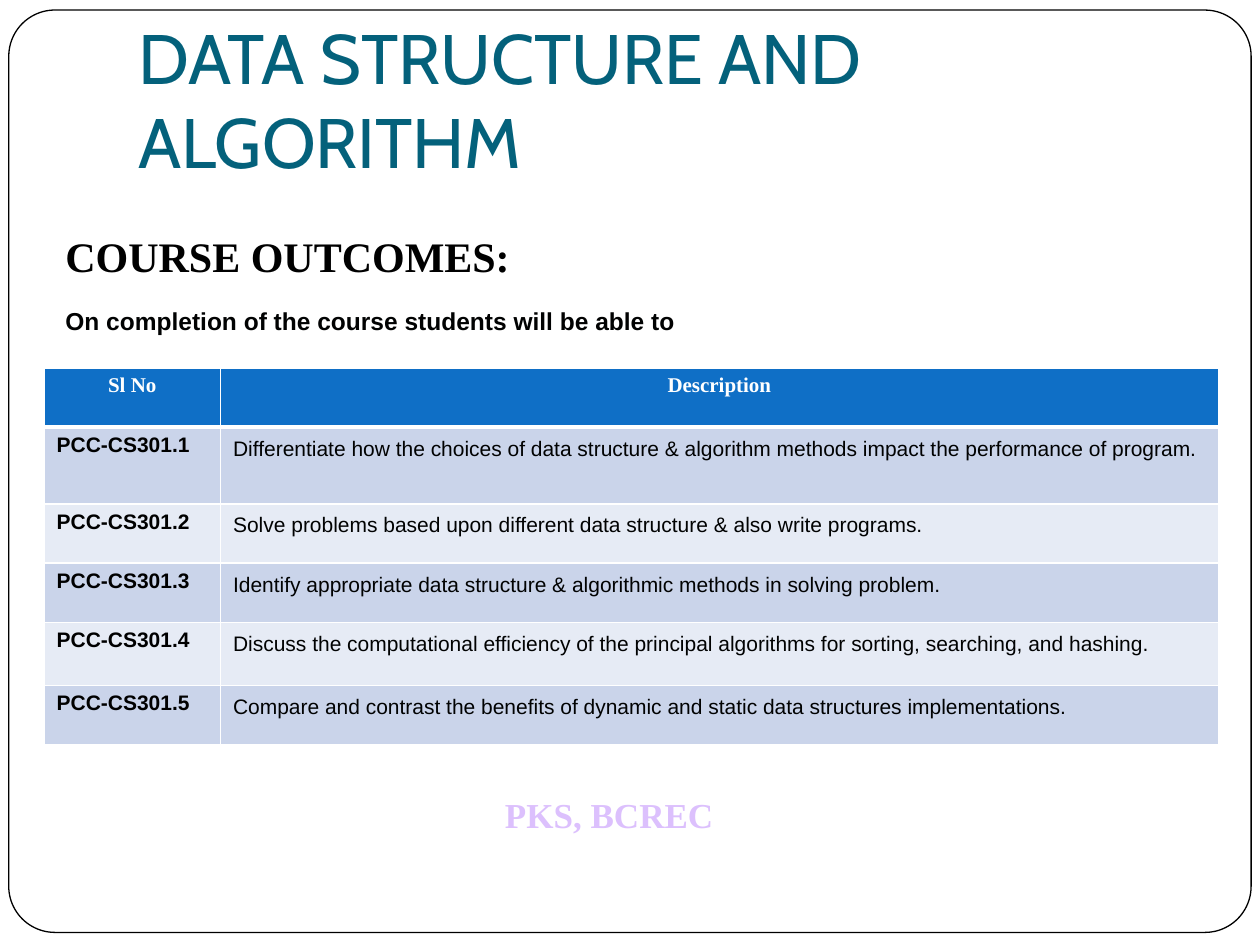
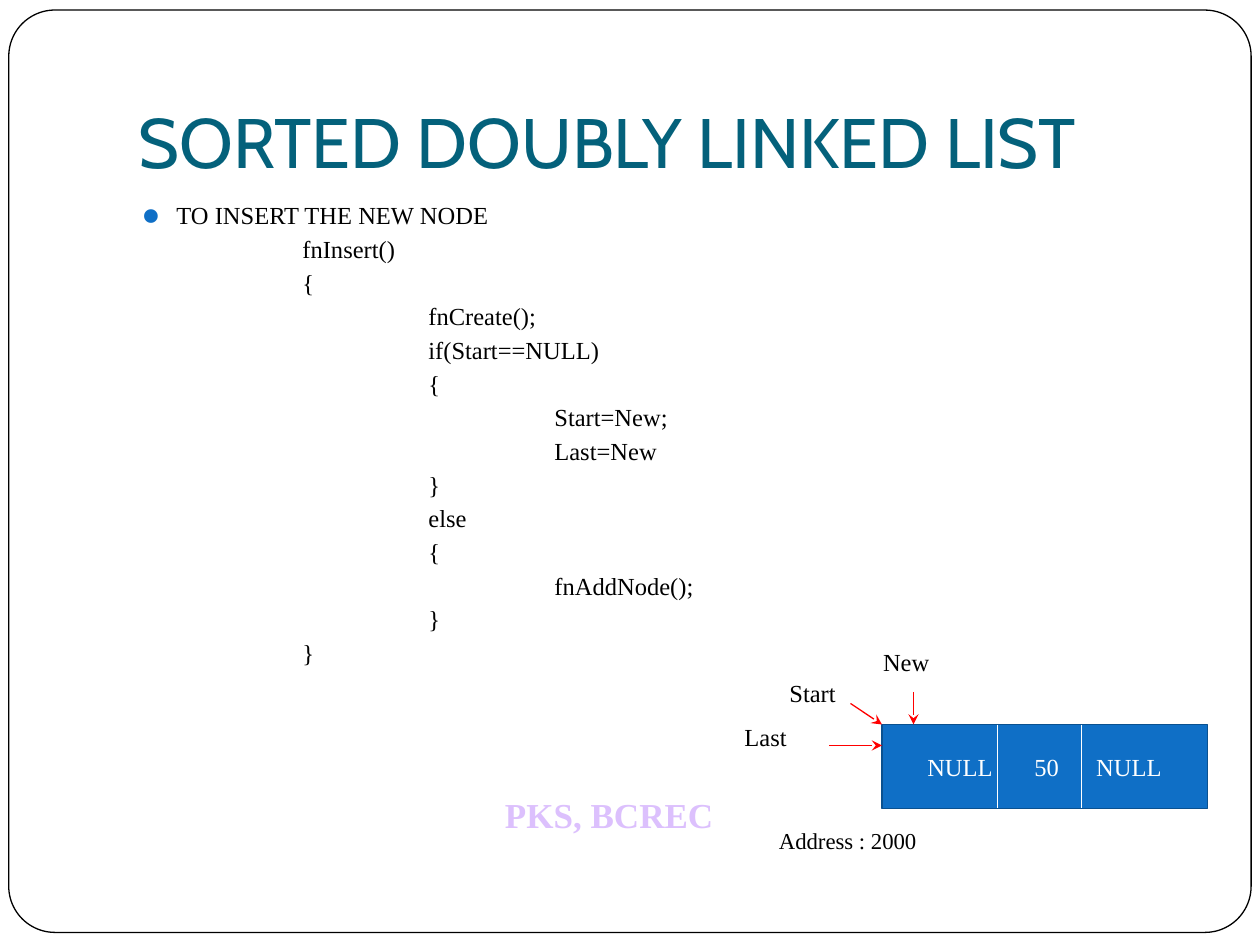
from lxml.etree import SubElement
from pptx import Presentation
from pptx.dml.color import RGBColor
from pptx.enum.shapes import MSO_CONNECTOR, MSO_SHAPE
from pptx.enum.text import MSO_ANCHOR, MSO_AUTO_SIZE, PP_ALIGN
from pptx.oxml.ns import qn
from pptx.util import Inches, Pt

SERIF, SANS, DISPLAY = "Times New Roman", "Arial", "Cabin"
BLACK, INK, WHITE, RED = "000000", "010202", "FFFFFF", "FF0000"
TEAL, BLUE, DARK_BLUE, LILAC = "04617B", "0F6FC6", "0A5190", "DCC0FD"
BANDS = ("CAD4EA", "E6EBF5")
COLUMNS, ROWS = 120, 90
TITLE_ONLY, TITLE_AND_BODY = 5, 1

OUTCOMES = [
    "Differentiate how the choices of data structure & algorithm methods impact the performance of program.",
    "Solve problems based upon different data structure & also write programs.",
    "Identify appropriate data structure & algorithmic methods in solving problem.",
    "Discuss the computational efficiency of the principal algorithms for sorting, searching, and hashing.",
    "Compare and contrast the benefits of dynamic and static data structures implementations.",
]
# Each line of code with its indent level
INSERT_CODE = [
    (1, "fnInsert()"), (1, "{"),
    (2, "fnCreate();"), (2, "if(Start==NULL)"),
    (2, "{"), (3, "Start=New;"), (3, "Last=New"), (2, "}"),
    (2, "else"), (2, "{"), (3, "fnAddNode();"), (2, "}"),
    (1, "}"),
]


def color(hex_string):
    return RGBColor.from_string(hex_string)


def write(frame, text, size=14, font=SERIF, ink=BLACK, bold=False,
          align=PP_ALIGN.LEFT, spacing=None, before=None, after=None):
    """Fill the frame's empty first paragraph, or add one, and return it."""
    para = frame.paragraphs[0] if not frame.text else frame.add_paragraph()
    para.alignment, para.line_spacing = align, spacing
    if before is not None:
        para.space_before = Pt(before)
    if after is not None:
        para.space_after = Pt(after)
    span = para.add_run()
    span.text = text
    span.font.size, span.font.name, span.font.bold = Pt(size), font, bold
    span.font.color.rgb = color(ink)
    return para


def set_indent(para, left, first=0, bullet=None):
    properties = para._p.get_or_add_pPr()
    properties.set("marL", str(Inches(left)))
    properties.set("indent", str(Inches(first)))
    if bullet:
        bullet_color = SubElement(properties, qn("a:buClr"))
        SubElement(bullet_color, qn("a:srgbClr"), val=BLUE)
        SubElement(properties, qn("a:buChar"), char=bullet)
    else:
        SubElement(properties, qn("a:buNone"))


def set_tabs(para, *stops):
    tabs = SubElement(para._p.get_or_add_pPr(), qn("a:tabLst"))
    for stop in stops:
        SubElement(tabs, qn("a:tab"), pos=str(Inches(stop)), algn="l")


def set_borders(cell, **widths):
    """Draw white cell borders; widths are points by side L, R, T, B."""
    properties = cell._tc.get_or_add_tcPr()
    for index, side in enumerate("LRTB"):
        line = SubElement(properties, qn(f"a:ln{side}"), w=str(Pt(widths.get(side, 1))))
        fill = SubElement(line, qn("a:solidFill"))
        SubElement(fill, qn("a:srgbClr"), val=WHITE)
        properties.insert(index, line)


class Deck:
    def __init__(self):
        self.deck = Presentation()
        self.deck.slide_width, self.deck.slide_height = Inches(10), Inches(7.5)
        self.page = None

    def across(self, columns):
        return round(self.deck.slide_width * columns / COLUMNS)

    def down(self, rows):
        return round(self.deck.slide_height * rows / ROWS)

    def area(self, left, top, width, height):
        return self.across(left), self.down(top), self.across(width), self.down(height)

    def add_page(self, title, layout):
        first = self.page is None
        self.page = self.deck.slides.add_slide(self.deck.slide_layouts[layout])
        if first:
            self.add_master_parts()
        frame = self.place(self.page.shapes.title, 12, 3.6, 102, 15)
        frame.vertical_anchor = MSO_ANCHOR.BOTTOM
        frame.margin_bottom = Inches(0.1)
        write(frame, title, size=40, font=DISPLAY, ink=TEAL)

    def add_master_parts(self):
        """Put the rounded border and the footer on the slide master."""
        border = self.shape(MSO_SHAPE.ROUNDED_RECTANGLE, 0.84, 0.96, 118.32, 87.84,
                            fill=WHITE, line=BLACK, weight=0.75)
        border.adjustments[0] = 0.05
        footer = self.label("PKS, BCREC", 46.92, 75, 28.08, 5.28,
                            size=20, ink=LILAC, bold=True)
        tree = self.deck.slide_master.shapes._spTree
        for index, part in enumerate((border, footer), start=2):
            tree.insert(index, part._element)

    def place(self, placeholder, *area):
        (placeholder.left, placeholder.top,
         placeholder.width, placeholder.height) = self.area(*area)
        frame = placeholder.text_frame
        frame.auto_size = MSO_AUTO_SIZE.NONE
        frame.vertical_anchor = MSO_ANCHOR.TOP
        return frame

    def shape(self, kind, *area, fill, line, weight):
        box = self.page.shapes.add_shape(kind, *self.area(*area))
        box.shadow.inherit = False
        box.fill.solid()
        box.fill.fore_color.rgb = color(fill)
        box.line.color.rgb = color(line)
        box.line.width = Pt(weight)
        return box

    def label(self, text, *area, **style):
        box = self.page.shapes.add_textbox(*self.area(*area))
        box.text_frame.word_wrap = True
        write(box.text_frame, text, **style)
        return box

    def line(self, x1, y1, x2, y2, ink, arrow=False):
        link = self.page.shapes.add_connector(
            MSO_CONNECTOR.STRAIGHT, self.across(x1), self.down(y1),
            self.across(x2), self.down(y2))
        link.line.color.rgb = color(ink)
        link.line.width = Pt(0.75)
        if arrow:
            SubElement(link.line._get_or_add_ln(), qn("a:tailEnd"), type="stealth")
        SubElement(link._element.spPr, qn("a:effectLst"))
        return link

    def table(self, left, top, widths, heights):
        holder = self.page.shapes.add_table(
            len(heights), len(widths),
            *self.area(left, top, sum(widths), sum(heights)))
        table = holder.table
        table.horz_banding = False
        for column, width in zip(table.columns, widths):
            column.width = self.across(width)
        for row, height in zip(table.rows, heights):
            row.height = self.down(height)
        return table

    def cell(self, table, row, column, text, **style):
        cell = table.cell(row, column)
        cell.fill.solid()
        cell.fill.fore_color.rgb = color(BANDS[(row - 1) % 2] if row else BLUE)
        set_borders(cell, **({"B": 3} if row == 0 else {"T": 3} if row == 1 else {}))
        write(cell.text_frame, text, size=12, **style)

    def bullets(self, heading, code):
        frame = self.place(self.page.placeholders[1], 12, 19, 102, 60)
        para = write(frame, heading, spacing=0.8, before=0)
        set_indent(para, 0.3, -0.26, bullet="⚫")
        for level, text in code:
            set_indent(write(frame, text, spacing=0.8, before=5.8), 0.3 + level)

    def node(self, left, top, width, height, dividers):
        box = self.shape(MSO_SHAPE.RECTANGLE, left, top, width, height,
                         fill=BLUE, line=DARK_BLUE, weight=1)
        frame = box.text_frame
        frame.margin_left = Inches(0.36)
        frame.vertical_anchor = MSO_ANCHOR.MIDDLE
        set_tabs(write(frame, "NULL\t50\tNULL", ink=WHITE), 0.85, 1.34)
        lines = [self.line(x, top, x, top + height, WHITE) for x in dividers]
        self.page.shapes.add_group_shape([box, *lines])


def add_outcomes(deck):
    deck.add_page("DATA STRUCTURE AND ALGORITHM", TITLE_ONLY)
    intro = deck.label("COURSE OUTCOMES:", 5.04, 21.36, 73.44, 7.68, size=24, bold=True)
    write(intro.text_frame, "On completion of the course students will be able to",
          font=SANS, ink=INK, bold=True, spacing=1.15, before=12, after=12)
    table = deck.table(4.2, 35.04, (16.8, 95.04), (5.64, 7.32, 5.64, 5.64, 6, 5.64))
    for column, heading in enumerate(("Sl No", "Description")):
        deck.cell(table, 0, column, heading, ink=WHITE, bold=True, align=PP_ALIGN.CENTER)
    for row, outcome in enumerate(OUTCOMES, start=1):
        deck.cell(table, row, 0, f"PCC-CS301.{row}", font=SANS, bold=True)
        deck.cell(table, row, 1, outcome, font=SANS, ink=INK,
                  spacing=1.15, before=12, after=12)


def add_insertion(deck):
    deck.add_page("SORTED DOUBLY LINKED LIST", TITLE_AND_BODY)
    deck.bullets("TO INSERT THE NEW NODE", INSERT_CODE)
    for text, left, top in (("New", 82.92, 61), ("Start", 74, 64), ("Last", 69.72, 68.16)):
        deck.label(text, left, top, 8.28, 4.8)
    deck.label("Address : 2000", 73, 78.12, 20.64, 4.8, size=13)
    deck.node(84, 69, 31, 8, dividers=(95, 103))
    for arrow in ((87, 65.9, 87, 69), (81, 67, 84, 69), (79, 71, 84, 71)):
        deck.line(*arrow, RED, arrow=True)


def main():
    deck = Deck()
    add_outcomes(deck)
    add_insertion(deck)
    deck.deck.save("out.pptx")


if __name__ == "__main__":
    main()
